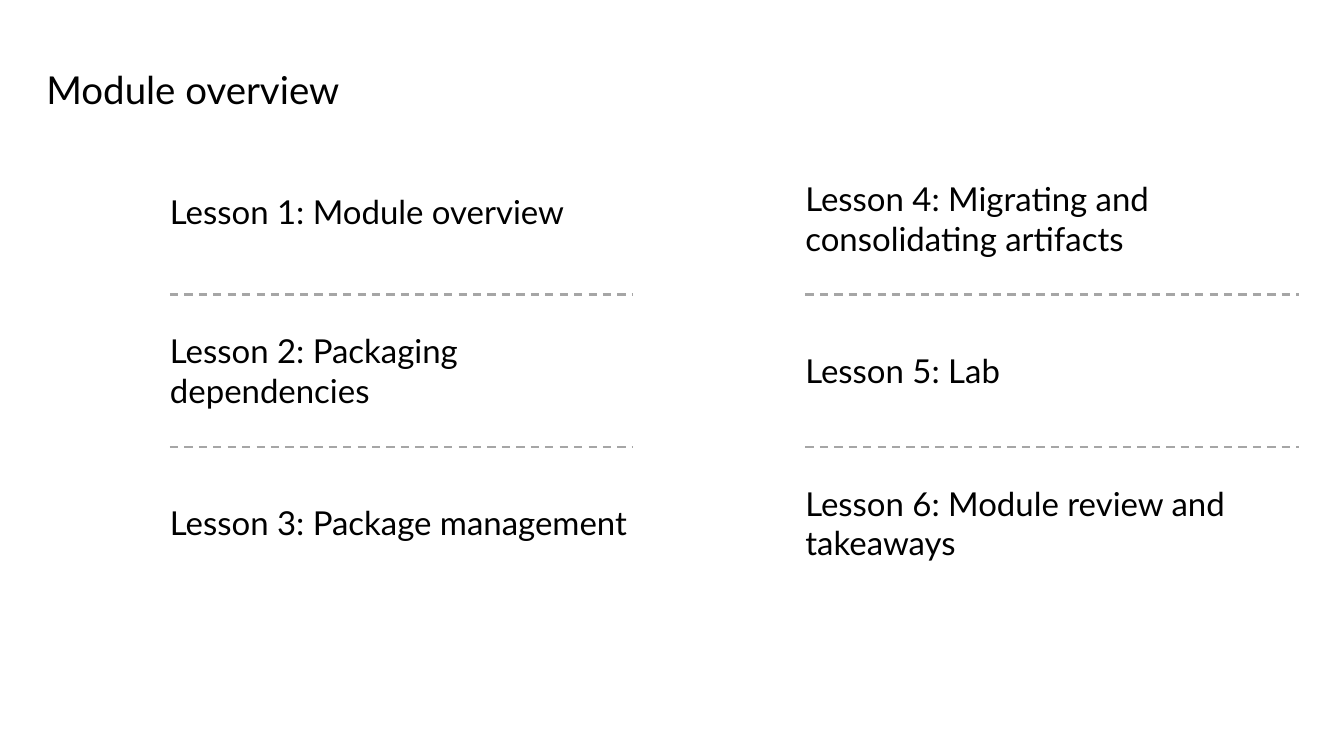
from dataclasses import dataclass

from lxml import etree
from pptx import Presentation
from pptx.dml.color import RGBColor
from pptx.enum.dml import MSO_LINE
from pptx.enum.shapes import MSO_CONNECTOR
from pptx.enum.text import MSO_ANCHOR, MSO_AUTO_SIZE, PP_ALIGN
from pptx.oxml.ns import qn
from pptx.util import Pt

EMU_PER_PX = 9144
DASH = MSO_LINE.DASH
STRAIGHT = MSO_CONNECTOR.STRAIGHT
TOP, MIDDLE = MSO_ANCHOR.TOP, MSO_ANCHOR.MIDDLE
GROW = MSO_AUTO_SIZE.SHAPE_TO_FIT_TEXT
LEFT = PP_ALIGN.LEFT
TITLE_ONLY = 5


@dataclass(frozen=True)
class Theme:
    """Colours, font and type sizes of the deck."""
    text: RGBColor = RGBColor(0x00, 0x00, 0x00)
    divider: RGBColor = RGBColor(0xA6, 0xA6, 0xA6)
    background: RGBColor = RGBColor(0xFF, 0xFF, 0xFF)
    font: str = "Lato"
    title_size: int = 28
    title_leading: int = 32
    lesson_size: int = 24
    divider_width: float = 1.5


THEME = Theme()
ROW_PITCH = 154
LESSON_WIDTH = 494
LINE_HEIGHT = 40
LESSON_COLUMNS = [
    ((172, 144, 469, 462), [
        ("Lesson 1: Module overview", 1, -7),
        ("Lesson 2: Packaging dependencies", 2, 0),
        ("Lesson 3: Package management", 1, 0),
    ]),
    ((815, 144, 499, 462), [
        ("Lesson 4: Migrating and consolidating artifacts", 2, 0),
        ("Lesson 5: Lab", 1, 0),
        ("Lesson 6: Module review and takeaways", 2, 0),
    ]),
]


def px(length):
    """Turn a length in px into EMU."""
    return round(length * EMU_PER_PX)


def write_text(frame, words, size, anchor):
    """Write one left-aligned run into a frame without insets."""
    frame.margin_left = frame.margin_right = 0
    frame.margin_top = frame.margin_bottom = 0
    frame.word_wrap = True
    frame.auto_size = GROW
    frame.vertical_anchor = anchor
    paragraph = frame.paragraphs[0]
    paragraph.alignment = LEFT
    run = paragraph.add_run()
    run.text = words
    run.font.name = THEME.font
    run.font.size = Pt(size)
    run.font.color.rgb = THEME.text
    return paragraph


def add_title(slide, box, words):
    """Place the slide title in its box."""
    title = slide.shapes.title
    title.left, title.top, title.width, title.height = map(px, box)
    paragraph = write_text(title.text_frame, words, THEME.title_size, TOP)
    paragraph.line_spacing = Pt(THEME.title_leading)


def add_divider(slide, left, top, width):
    """Draw a dashed horizontal divider."""
    divider = slide.shapes.add_connector(
        STRAIGHT, px(left), px(top), px(left + width), px(top))
    divider.line.color.rgb = THEME.divider
    divider.line.width = Pt(THEME.divider_width)
    divider.line.dash_style = DASH
    etree.SubElement(divider.element.spPr, qn("a:effectLst"))


def add_lesson_column(slide, box, lessons):
    """Stack lessons in equal rows of the box, with dividers between rows."""
    left, top, width, _ = box
    for row, (lesson, lines, shift) in enumerate(lessons):
        row_top = top + row * ROW_PITCH
        height = lines * LINE_HEIGHT
        label = slide.shapes.add_textbox(
            px(left), px(row_top + (ROW_PITCH - height) / 2 + shift),
            px(LESSON_WIDTH), px(height))
        write_text(label.text_frame, lesson, THEME.lesson_size, MIDDLE)
        if row:
            add_divider(slide, left, row_top, width)


def add_overview_slide(deck):
    """Build the module overview slide."""
    slide = deck.slides.add_slide(deck.slide_layouts[TITLE_ONLY])
    slide.background.fill.solid()
    slide.background.fill.fore_color.rgb = THEME.background
    add_title(slide, (47, 69, 1265, 45), "Module overview")
    for box, lessons in LESSON_COLUMNS:
        add_lesson_column(slide, box, lessons)


def main():
    """Build and save the deck."""
    deck = Presentation()
    deck.slide_width, deck.slide_height = px(1360), px(765)
    add_overview_slide(deck)
    deck.save("out.pptx")


if __name__ == "__main__":
    main()
